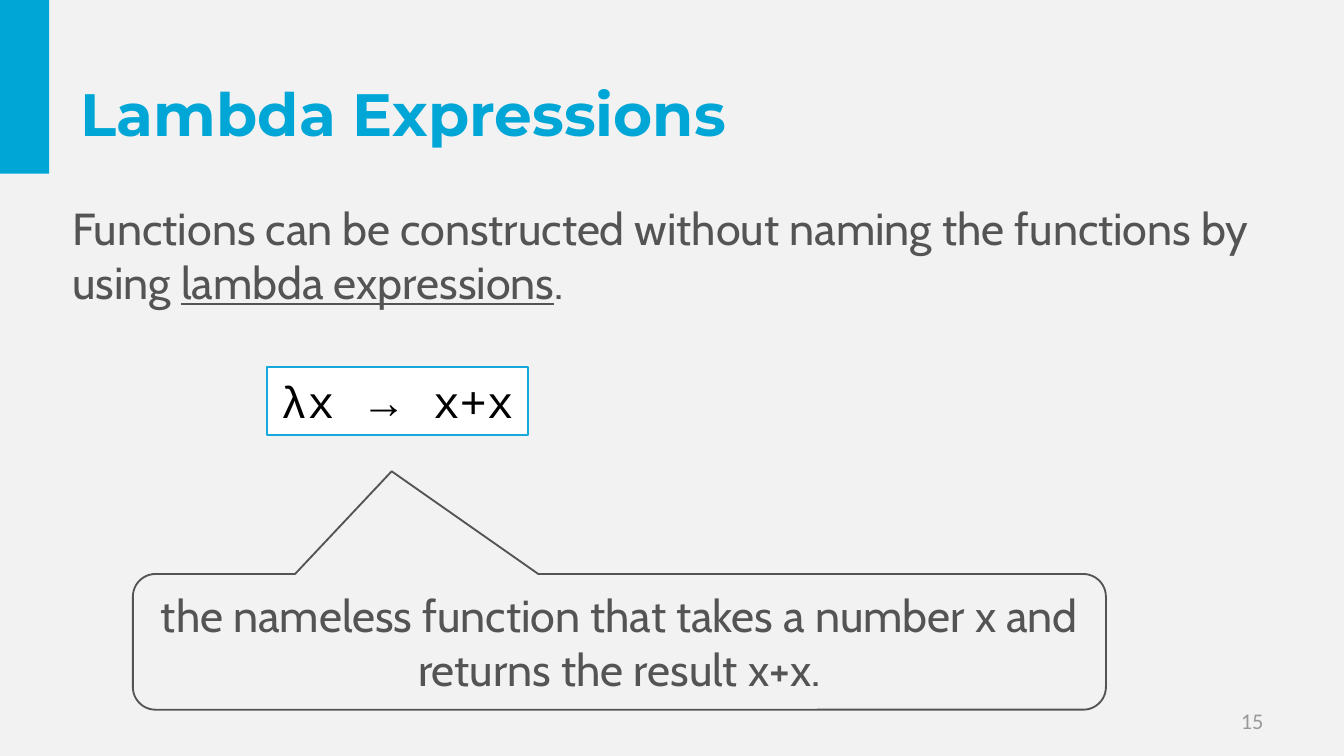
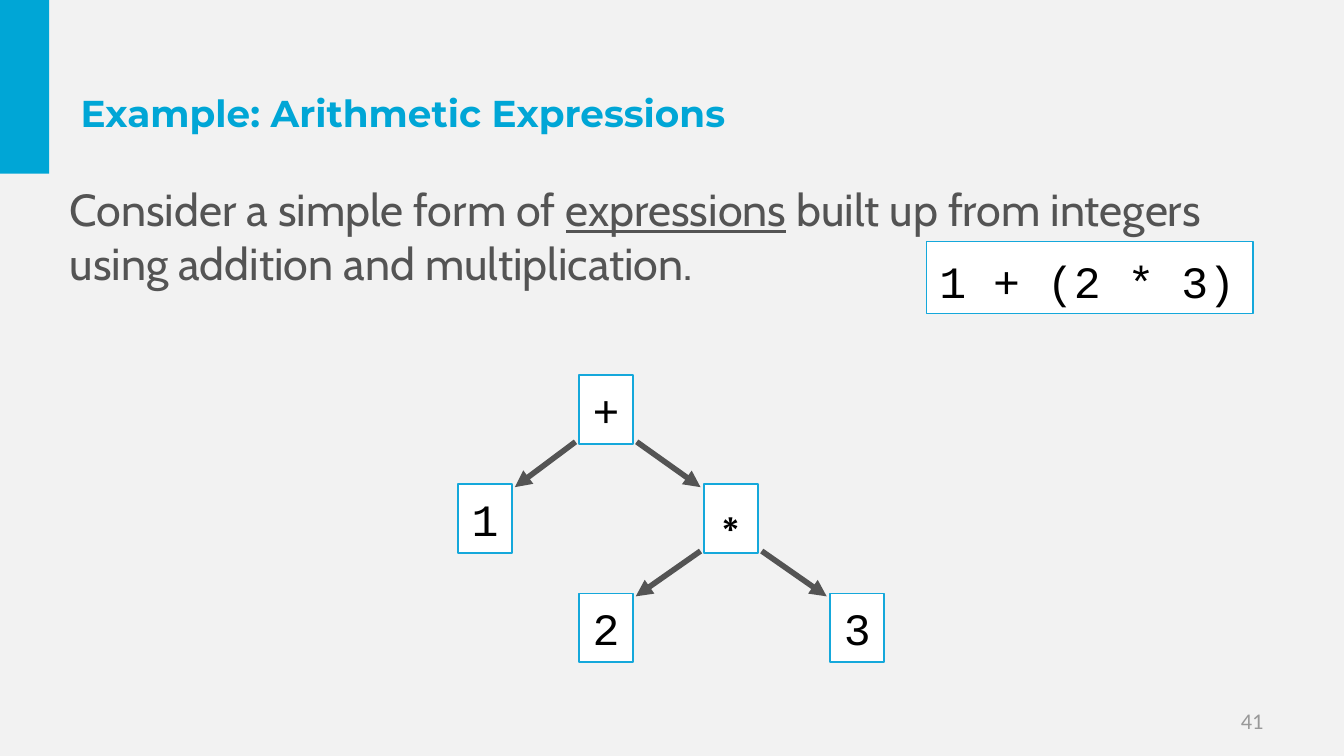
from lxml import etree
from pptx import Presentation
from pptx.dml.color import RGBColor
from pptx.enum.shapes import MSO_CONNECTOR as CONN, MSO_SHAPE as SHAPE
from pptx.enum.text import MSO_ANCHOR as ANCHOR, MSO_AUTO_SIZE as AUTO, PP_ALIGN as ALIGN
from pptx.oxml.ns import qn
from pptx.util import Pt

CYAN = RGBColor(0x00, 0xA6, 0xD6)
BORDER = RGBColor(0x15, 0xA8, 0xDB)
GREY = RGBColor(0x54, 0x54, 0x54)
PAGE_GREY = RGBColor(0x99, 0x99, 0x99)
PAPER = RGBColor(0xF2, 0xF2, 0xF2)
WHITE = RGBColor(0xFF, 0xFF, 0xFF)
BLACK = RGBColor(0, 0, 0)

TITLE, BODY, CODE, PAGE, SYMBOL = (
    "Montserrat", "Cabin", "Courier New", "Calibri", "Times New Roman")
TEXT_SIZE = 24


def write(shape, *runs, font=BODY, size=TEXT_SIZE, color=GREY, bold=False,
          align=ALIGN.LEFT, spacing=None, wrap=True):
    """Fill a shape with one paragraph; a run is text or (text, font overrides)."""
    tf = shape.text_frame
    tf.auto_size = AUTO.NONE
    tf.word_wrap = wrap
    tf.vertical_anchor = ANCHOR.MIDDLE
    p = tf.paragraphs[0]
    p.alignment = align
    if spacing:
        p.line_spacing = spacing
    for run in runs:
        text, extra = (run, {}) if isinstance(run, str) else run
        r = p.add_run()
        r.text = text
        r.font.name = extra.get("font", font)
        r.font.size = Pt(size)
        r.font.bold = bold
        r.font.color.rgb = color
        if extra.get("underline"):
            r.font.underline = True


def add_text(s, box, *runs, **fmt):
    write(s.shapes.add_textbox(*map(Pt, box)), *runs, **fmt)


def add_box(shapes, box, kind=SHAPE.RECTANGLE, fill=None, line=None, width=1):
    sp = shapes.add_shape(kind, *map(Pt, box))
    sp.shadow.inherit = False
    if fill is None:
        sp.fill.background()
    else:
        sp.fill.solid()
        sp.fill.fore_color.rgb = fill
    if line is None:
        sp.line.fill.background()
    else:
        sp.line.color.rgb = line
        sp.line.width = Pt(width)
    return sp


def add_code(shapes, box, *runs, width=1, **fmt):
    sp = add_box(shapes, box, fill=WHITE, line=BORDER, width=width)
    write(sp, *runs, font=CODE, color=BLACK, wrap=False, **fmt)


def add_arrow(shapes, *ends):
    cx = shapes.add_connector(CONN.STRAIGHT, *map(Pt, ends))
    cx.line.color.rgb = GREY
    cx.line.width = Pt(3)
    etree.SubElement(cx.line._get_or_add_ln(), qn("a:tailEnd"), type="triangle")
    etree.SubElement(cx._element.spPr, qn("a:effectLst"))


def new_slide(prs, title, number, title_size):
    s = prs.slides.add_slide(prs.slide_layouts[5])
    add_box(s.shapes, (0, 0, 26.4, 93), fill=CYAN)
    add_text(s, (516, 375, 168, 21.6), number, font=PAGE, size=12,
             color=PAGE_GREY, align=ALIGN.RIGHT)
    head = s.shapes.title
    head.left, head.top, head.width, head.height = map(Pt, (36, 16.6, 648, 87.8))
    write(head, title, font=TITLE, size=title_size, color=CYAN, bold=True)
    return s


def add_callout(s, box, text):
    sp = add_box(s.shapes, box, kind=SHAPE.ROUNDED_RECTANGULAR_CALLOUT, line=GREY)
    for i, value in enumerate((-0.234, -1.257, 0.167)):
        sp.adjustments[i] = value
    write(sp, text, align=ALIGN.CENTER)


def add_tree(s, left, top):
    """Draw the expression tree with its first column and row at left, top."""
    columns = (0, 64.8, 131.8, 199.4)
    row_step, node_w, node_h = 58.5, 28.8, 36.7
    nodes = {"1": (0, 1), "+": (1, 0), "∗": (2, 1), "3": (3, 2), "2": (1, 2)}
    edges = ("+1", "∗2", "+∗", "∗3")
    shapes = s.shapes.add_group_shape().shapes
    corners = {}
    for label, (col, row) in nodes.items():
        x, y = left + columns[col], top + row * row_step
        corners[label] = x, y
        add_code(shapes, (x, y, node_w, node_h), label, align=ALIGN.CENTER)
    for parent, child in edges:
        (px, py), (cx, cy) = corners[parent], corners[child]
        start_y, end_y = py + node_h - 1, cy + 1.5
        if cx < px:
            add_arrow(shapes, px - 2, start_y, cx + node_w + 1.5, end_y)
        else:
            add_arrow(shapes, px + node_w + 2, start_y, cx - 2, end_y)


def lambda_slide(prs):
    s = new_slide(prs, "Lambda Expressions", "15", 32)
    add_text(s, (31.7, 103.7, 651, 65.5),
             "Functions can be constructed without naming the functions by using ",
             ("lambda expressions", {"underline": True}), ".")
    add_code(s.shapes, (143.3, 196.6, 139.7, 36.4),
             "λx ", ("→", {"font": SYMBOL}), " x+x")
    add_callout(s, (71.2, 307.5, 521.3, 72.7),
                "the nameless function that takes a number x and returns the result x+x.")


def arithmetic_slide(prs):
    s = new_slide(prs, "Example: Arithmetic Expressions", "41", 20)
    add_text(s, (30.2, 93.6, 655, 65.5), "Consider a simple form of ",
             ("expressions", {"underline": True}),
             " built up from integers using addition and multiplication.")
    add_tree(s, 245.5, 201)
    add_code(s.shapes, (496.2, 129.4, 175, 38.7), "1 + (2 * 3)",
             width=0.75, spacing=1.1)


def main():
    prs = Presentation()
    prs.slide_width, prs.slide_height = Pt(720), Pt(405)
    paper = prs.slide_master.background.fill
    paper.solid()
    paper.fore_color.rgb = PAPER
    lambda_slide(prs)
    arithmetic_slide(prs)
    prs.save("out.pptx")


if __name__ == "__main__":
    main()
